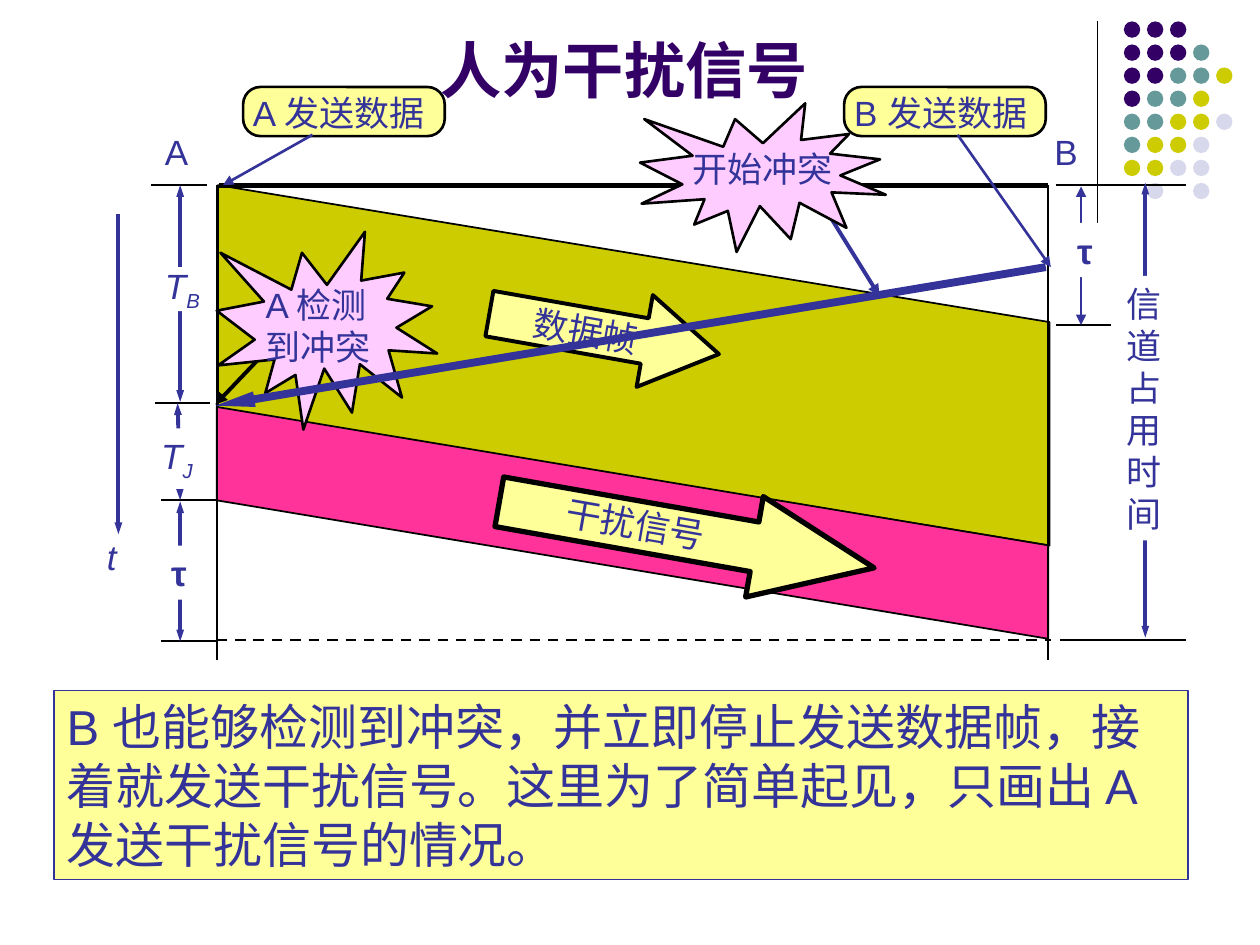
"""Builds the slide on the jamming signal after a collision."""
from lxml import etree
from pptx import Presentation, util as u
from pptx.dml.color import RGBColor
from pptx.enum import dml, shapes, text
from pptx.oxml.ns import qn

HUES = {"white": "FFFFFF", "black": "000000", "blue": "333399", "plum": "330066",
        "teal": "669999", "olive": "CCCC00", "mist": "D8D8EC", "pink": "FF3399",
        "pale": "FFFF99", "rose": "FFCCFF"}
DOTS = ["ppp", "pppt", "pptto", "ptto", "ttoom", "toom", "oomm", " m m"]
KEYS = {"p": "plum", "t": "teal", "o": "olive", "m": "mist"}
SHAPE = shapes.MSO_SHAPE
LEFT, RIGHT, TOP, END = 1.72, 8.32, 1.47, 5.08


def hue(name):
    return RGBColor.from_string(HUES[name])


def line(slide, start, end, color="black", width=1, heads="", size=("sm", "med"), dash=False):
    """Draw a line; heads names its arrow ends, size their width and length."""
    link = slide.shapes.add_connector(
        shapes.MSO_CONNECTOR.STRAIGHT, *(u.Inches(v) for v in (*start, *end)))
    link.line.color.rgb = hue(color)
    link.line.width = u.Pt(width)
    if dash:
        link.line.dash_style = dml.MSO_LINE.DASH
    pen = link.line._get_or_add_ln()
    for name in heads.split():
        etree.SubElement(pen, qn(f"a:{name}"), type="triangle", w=size[0], len=size[1])
    etree.SubElement(link._element.spPr, qn("a:effectLst"))


def shape(slide, kind, place, fill, edge=None, width=1, turn=0, adjs=()):
    """Draw a filled preset shape, with an outline if edge is named."""
    item = slide.shapes.add_shape(kind, *(u.Inches(v) for v in place))
    item.shadow.inherit = False
    item.fill.solid()
    item.fill.fore_color.rgb = hue(fill)
    if edge:
        item.line.color.rgb = hue(edge)
        item.line.width = u.Pt(width)
    else:
        item.line.fill.background()
    item.rotation = turn
    for i, adj in enumerate(adjs):
        item.adjustments[i] = adj
    return item


def write(item, words, size=20, color="blue", bold=False, italic=False,
          align=text.PP_ALIGN.LEFT, anchor=text.MSO_ANCHOR.TOP, wrap=False, grow=True, sub=""):
    """Fill a shape or text box, one paragraph to a line of words."""
    frame = item.text_frame
    frame.word_wrap = wrap
    frame.vertical_anchor = anchor
    if grow:
        frame.auto_size = text.MSO_AUTO_SIZE.SHAPE_TO_FIT_TEXT
    frame.text = words
    if sub:
        low = frame.paragraphs[0].add_run()
        low.text = sub
        low._r.get_or_add_rPr().set("baseline", "-25000")
    for para in frame.paragraphs:
        para.alignment = align
        font = para.font
        font.name, font.size, font.bold, font.italic = "Arial", u.Pt(size), bold, italic
        font.color.rgb = hue(color)


def label(slide, place, words, fill=None, turn=0, **style):
    """Place a text box, on a fill if one is named."""
    box = slide.shapes.add_textbox(*(u.Inches(v) for v in place))
    box.rotation = turn
    if fill:
        box.fill.solid()
        box.fill.fore_color.rgb = hue(fill)
    write(box, words, **style)


def span(slide, start, end, width=2.25, size=("sm", "med")):
    line(slide, start, end, "blue", width, "headEnd tailEnd", size)


def dots(slide):
    """Draw the corner grid of dots and its rule."""
    line(slide, (8.71, 0.17), (8.71, 1.83), width=0.75)
    for i, row in enumerate(DOTS):
        for j, key in enumerate(row):
            if key in KEYS:
                place = (8.92 + j * 0.183, 0.17 + i * 0.183, 0.13, 0.13)
                shape(slide, SHAPE.OVAL, place, KEYS[key])


def sender(slide, left, words, start, end):
    """Draw a sender's tag and its pointer."""
    shape(slide, SHAPE.ROUNDED_RECTANGLE, (left, 0.69, 1.6, 0.39), "pale", "black", 1.5,
          adjs=[0.354])
    label(slide, (left - 0.02, 0.68, 1.64, 0.44), words)
    line(slide, start, end, "blue", 1.5, "tailEnd", ("med", "med"))


def burst(slide, place, area, words, start, end, color):
    """Draw a collision burst and its pointer."""
    line(slide, start, end, color, 2.25, "tailEnd", ("med", "med"))
    shape(slide, SHAPE.EXPLOSION1, place, "rose", "black", 1.5)
    label(slide, area, words)


def bands(slide):
    """Draw the two signals that travel along the channel."""
    shape(slide, SHAPE.PARALLELOGRAM, (3.6, -0.4, 2.86, 6.6), "olive", "black", 1, 90, [0.38])
    data = shape(slide, SHAPE.RIGHT_ARROW, (3.87, 2.28, 1.85, 0.74), "pale", "black", 2.25,
                 10, [0.494, 0.808])
    write(data, "数据帧", align=text.PP_ALIGN.CENTER, anchor=text.MSO_ANCHOR.MIDDLE, grow=False)
    shape(slide, SHAPE.PARALLELOGRAM, (4.1, 0.85, 1.84, 6.6), "pink", "black", 1, 90, [0.597])
    shape(slide, SHAPE.RIGHT_ARROW, (3.94, 3.84, 3.02, 0.81), "pale", "black", 3,
          10, [0.494, 1.19])
    label(slide, (4.39, 3.94, 1.31, 0.44), "干扰信号", turn=9.9)


def axes(slide):
    """Draw the time axes, ticks and spans."""
    line(slide, (1.74, TOP), (RIGHT, TOP), width=3)
    for x in (LEFT, RIGHT):
        line(slide, (x, TOP), (x, 5.24))
    for x, y, wide in ((1.2, TOP, 0.44), (1.23, 3.2, 0.44), (1.28, 3.97, 0.44),
                       (1.28, 5.09, 0.44), (8.38, TOP, 1.03), (8.38, 2.58, 0.44),
                       (8.41, END, 1)):
        line(slide, (x, y), (x + wide, y))
    line(slide, (LEFT, END), (8.34, END), width=1.5, dash=True)
    line(slide, (0.94, 1.7), (0.94, 4.24), "blue", 2.25, "tailEnd")
    for x, y, low in ((1.43, TOP, 3.19), (1.43, 3.98, 5.09), (9.09, 1.45, 5.06)):
        span(slide, (x, y), (x, low))
    span(slide, (1.41, 3.2), (1.43, 3.97))
    span(slide, (8.58, 1.48), (8.58, 2.58), 1.5, ("med", "med"))


def names(slide):
    """Label the stations and the spans."""
    for x, name in ((1.21, "A"), (8.27, "B")):
        label(slide, (x, 0.99, 0.38, 0.43), name)
    for x, y in ((1.26, 4.33), (8.45, 1.77)):
        label(slide, (x, y, 0.32, 0.43), "τ", "white", bold=True)
    label(slide, (1.18, 3.4, 0.45, 0.48), "T", "white", italic=True, sub="J")
    shape(slide, SHAPE.RECTANGLE, (1.27, 2.12, 0.37, 0.35), "white")
    label(slide, (1.21, 2.05, 0.48, 0.48), "T", italic=True, sub="B")
    label(slide, (0.75, 4.2, 0.27, 0.44), "t", italic=True)
    label(slide, (8.84, 2.19, 0.48, 2.1), "\n".join("信道占用时间"), "white")


def main():
    deck = Presentation()
    deck.slide_width, deck.slide_height = u.Inches(10), u.Inches(7.5)
    slide = deck.slides.add_slide(deck.slide_layouts[6])
    dots(slide)
    bands(slide)
    label(slide, (0.75, 0.13, 8.52, 0.76), "人为干扰信号 ", size=35, color="plum", bold=True,
          align=text.PP_ALIGN.CENTER, anchor=text.MSO_ANCHOR.BOTTOM, wrap=True, grow=False)
    axes(slide)
    names(slide)
    sender(slide, 6.7, "B 发送数据", (7.6, 1.07), (8.34, 2.12))
    burst(slide, (1.72, 1.84, 1.75, 1.57), (2.01, 2.2, 1.08, 0.77), "A 检测\n到冲突",
          (2.31, 2.58), (1.71, 3.21), "black")
    burst(slide, (5.08, 0.82, 1.95, 1.18), (5.4, 1.12, 1.31, 0.44), "开始冲突",
          (6.57, 1.69), (6.98, 2.35), "blue")
    sender(slide, 1.93, "A 发送数据", (2.48, 1.07), (1.77, TOP))
    line(slide, (8.3, 2.12), (1.71, 3.22), "blue", 4.5, "tailEnd", ("sm", "lg"))
    note = shape(slide, SHAPE.RECTANGLE, (0.43, 5.48, 9, 1.5), "pale", "blue", 0.75)
    write(note, "B 也能够检测到冲突，并立即停止发送数据帧，接着就发送干扰信号。"
          "这里为了简单起见，只画出 A 发送干扰信号的情况。", size=28, wrap=True)
    deck.save("out.pptx")


if __name__ == "__main__":
    main()
